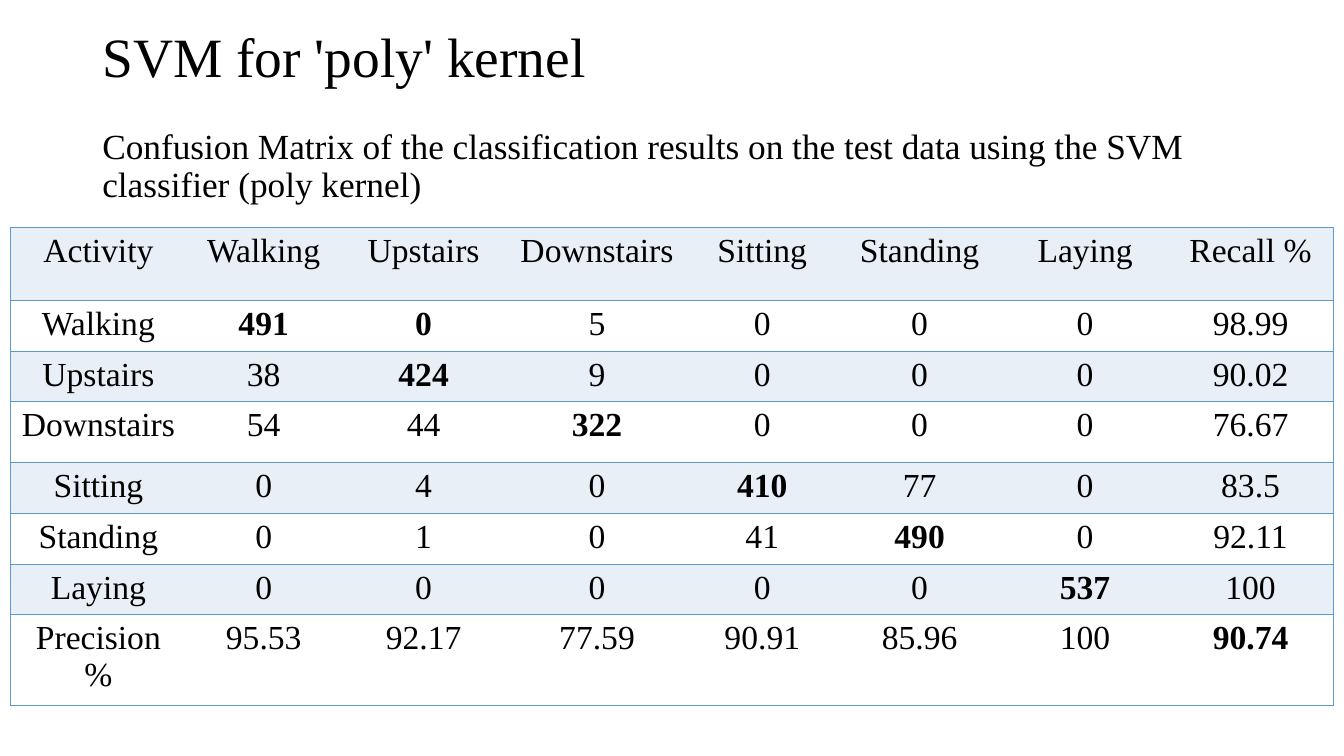
from dataclasses import dataclass

from lxml.etree import SubElement
from pptx import Presentation
from pptx.dml.color import RGBColor
from pptx.enum.text import MSO_ANCHOR, PP_ALIGN
from pptx.oxml.ns import qn
from pptx.util import Cm, Pt


@dataclass(frozen=True)
class Theme:
    font: str = "Times New Roman"
    ink: str = "000000"
    band: str = "E9EFF7"
    paper: str = "FFFFFF"
    rule: str = "5B9BD5"
    title_size: float = 39.6
    subtitle_size: float = 25.2
    table_size: float = 24


THEME = Theme()
NO_GRID_STYLE = "{2D5ABB26-0587-4C30-8999-92F81FD0307C}"

TITLE = "SVM for 'poly' kernel"
SUBTITLE = ("Confusion Matrix of the classification results on the test data "
            "using the SVM classifier (poly kernel)")

ACTIVITIES = ["Walking", "Upstairs", "Downstairs", "Sitting", "Standing", "Laying"]
COUNTS = [
    [491, 0, 5, 0, 0, 0],
    [38, 424, 9, 0, 0, 0],
    [54, 44, 322, 0, 0, 0],
    [0, 4, 0, 410, 77, 0],
    [0, 1, 0, 41, 490, 0],
    [0, 0, 0, 0, 0, 537],
]
RECALL = ["98.99", "90.02", "76.67", "83.5", "92.11", "100"]
PRECISION = ["95.53", "92.17", "77.59", "90.91", "85.96", "100"]
ACCURACY = "90.74"

COLUMN_WIDTHS = [4.44, 3.89, 4.17, 4.57, 3.76, 4.17, 4.17, 4.17]
ROW_HEIGHTS = [1.85, 1.28, 1.28, 1.54, 1.28, 1.28, 1.28, 2.28]


def format_runs(paragraph, size, bold=False):
    for run in paragraph.runs:
        run.font.name = THEME.font
        run.font.size = Pt(size)
        run.font.bold = bold
        run.font.color.rgb = RGBColor.from_string(THEME.ink)


def add_heading(slide, left, top, width, height):
    """Title with the subtitle below it, centred vertically in the box."""
    text_box = slide.shapes.add_textbox(Cm(left), Cm(top), Cm(width), Cm(height))
    text_frame = text_box.text_frame
    text_frame.word_wrap = True
    text_frame.vertical_anchor = MSO_ANCHOR.MIDDLE
    text_frame.text = f"{TITLE}\n{SUBTITLE}"
    sizes = (THEME.title_size, THEME.subtitle_size)
    for paragraph, size in zip(text_frame.paragraphs, sizes):
        paragraph.line_spacing = 0.9
        format_runs(paragraph, size)
    text_frame.paragraphs[1].space_before = Pt(28)


def add_border(cell, side):
    line = SubElement(cell._tc.get_or_add_tcPr(), qn(f"a:{side}"), w=str(Pt(1)))
    fill = SubElement(line, qn("a:solidFill"))
    SubElement(fill, qn("a:srgbClr"), val=THEME.rule)


def matrix_rows():
    """Counts framed by activity names, recall and precision."""
    rows = [["Activity", *ACTIVITIES, "Recall %"]]
    for activity, counts, recall in zip(ACTIVITIES, COUNTS, RECALL):
        rows.append([activity, *map(str, counts), recall])
    rows.append(["Precision %", *PRECISION, ACCURACY])
    return rows


def add_confusion_matrix(slide, left, top, width, height):
    rows = matrix_rows()
    last = len(rows) - 1
    frame = slide.shapes.add_table(len(rows), len(rows[0]),
                                   Cm(left), Cm(top), Cm(width), Cm(height))
    table = frame.table
    table._tbl.tblPr.find(qn("a:tableStyleId")).text = NO_GRID_STYLE
    table.first_row = False
    table.horz_banding = False

    # Share the box out in proportion to the column and row sizes
    for column, size in zip(table.columns, COLUMN_WIDTHS):
        column.width = Cm(width * size / sum(COLUMN_WIDTHS))
    for row, size in zip(table.rows, ROW_HEIGHTS):
        row.height = Cm(height * size / sum(ROW_HEIGHTS))

    # Correct predictions, one more cell and the accuracy are bold
    bold_cells = {(index, index) for index in range(1, last + 1)} | {(1, 2)}

    for row_index, values in enumerate(rows):
        for column_index, value in enumerate(values):
            cell = table.cell(row_index, column_index)
            cell.text_frame.text = value
            paragraph = cell.text_frame.paragraphs[0]
            paragraph.alignment = PP_ALIGN.CENTER
            format_runs(paragraph, THEME.table_size,
                        (row_index, column_index) in bold_cells)
            # Rules between rows and around the table
            if column_index == 0:
                add_border(cell, "lnL")
            if column_index == last:
                add_border(cell, "lnR")
            add_border(cell, "lnT")
            add_border(cell, "lnB")
            # Alternating row colours
            color = THEME.paper if row_index % 2 else THEME.band
            cell.fill.solid()
            cell.fill.fore_color.rgb = RGBColor.from_string(color)


def main():
    presentation = Presentation()
    presentation.slide_width = Cm(33.87)
    presentation.slide_height = Cm(19.05)
    slide = presentation.slides.add_slide(presentation.slide_layouts[6])
    add_heading(slide, 2.33, 1.01, 29.21, 3.89)
    add_confusion_matrix(slide, 0.26, 5.73, 33.34, 12.04)
    presentation.save("out.pptx")


if __name__ == "__main__":
    main()
